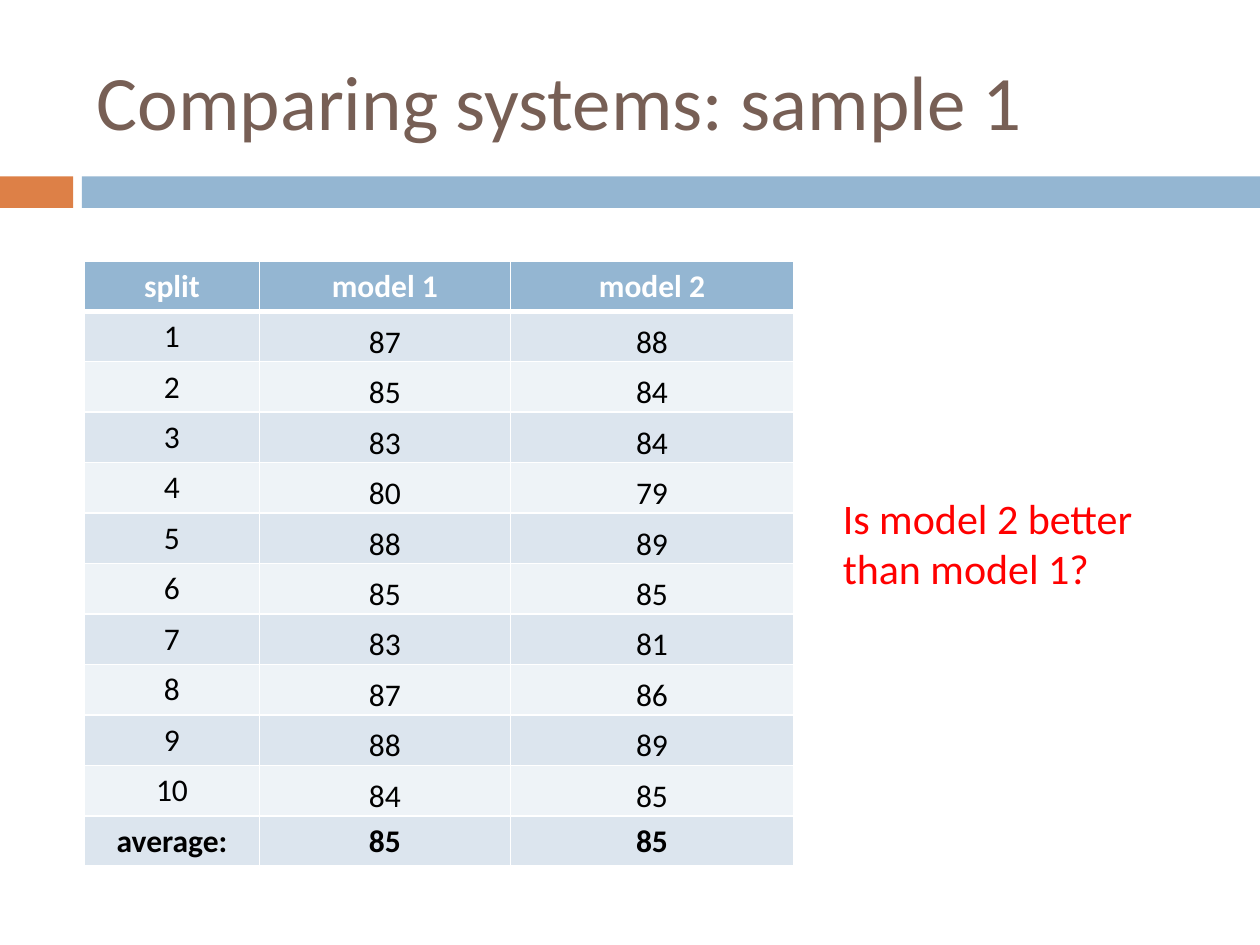
import lxml.etree
import pptx
import pptx.dml.color
import pptx.enum.shapes
import pptx.enum.text
import pptx.oxml.ns
import pptx.util

Inches = pptx.util.Inches
Pt = pptx.util.Pt
ALIGN = pptx.enum.text.PP_ALIGN
ANCHOR = pptx.enum.text.MSO_ANCHOR

BLUE, ORANGE, BROWN = "94B6D2", "DD8047", "775F55"
WHITE, BLACK, RED = "FFFFFF", "000000", "FF0000"
BANDS = ("DCE5EE", "EEF3F7")
COLUMN_WIDTHS = (1.39, 1.99, 2.25)
ROW_HEIGHT = 0.39
MODEL_1 = (87, 85, 83, 80, 88, 85, 83, 87, 88, 84)
MODEL_2 = (88, 84, 84, 79, 89, 85, 81, 86, 89, 85)


def rgb(value):
    """Return the colour for a hex string."""
    return pptx.dml.color.RGBColor.from_string(value)


def set_fill(target, color):
    """Give a shape or cell a solid fill."""
    target.fill.solid()
    target.fill.fore_color.rgb = rgb(color)


def write(tf, text, size=18, color=BLACK, bold=False, align=ALIGN.LEFT):
    """Write one formatted paragraph into a text frame."""
    p = tf.paragraphs[0]
    p.alignment = align
    r = p.add_run()
    r.text = text
    r.font.name = "Calibri"
    r.font.size = Pt(size)
    r.font.bold = bold
    r.font.color.rgb = rgb(color)


def add_bar(slide, left, width, color):
    """Add one part of the band below the title."""
    sp = slide.shapes.add_shape(
        pptx.enum.shapes.MSO_SHAPE.RECTANGLE,
        Inches(left), Inches(1.4), Inches(width), Inches(0.25))
    sp.shadow.inherit = False
    set_fill(sp, color)
    sp.line.fill.background()


def add_text(slide, box, text, anchor=ANCHOR.TOP, **fmt):
    """Add a wrapping text box."""
    tf = slide.shapes.add_textbox(*map(Inches, box)).text_frame
    tf.word_wrap = True
    tf.vertical_anchor = anchor
    write(tf, text, **fmt)


def set_borders(cell, top, bottom):
    """Draw white borders around a cell, with widths in points."""
    qn = pptx.oxml.ns.qn
    tc_pr = cell._tc.get_or_add_tcPr()
    sides = {"lnL": 1, "lnR": 1, "lnT": top, "lnB": bottom}
    for i, (tag, width) in enumerate(sides.items()):
        ln = lxml.etree.Element(qn("a:" + tag), w=str(Pt(width)))
        fill = lxml.etree.SubElement(ln, qn("a:solidFill"))
        lxml.etree.SubElement(fill, qn("a:srgbClr"), val=WHITE)
        tc_pr.insert(i, ln)


def add_scores(slide, left, top):
    """Add the table of scores by split."""
    splits = zip(range(1, len(MODEL_1) + 1), MODEL_1, MODEL_2)
    rows = [("split", "model 1", "model 2"), *splits, ("average:", 85, 85)]
    last = len(rows) - 1
    table = slide.shapes.add_table(
        len(rows), len(COLUMN_WIDTHS), Inches(left), Inches(top),
        Inches(sum(COLUMN_WIDTHS)), Inches(ROW_HEIGHT * len(rows))).table
    for column, width in zip(table.columns, COLUMN_WIDTHS):
        column.width = Inches(width)
    for i, row in enumerate(rows):
        table.rows[i].height = Inches(ROW_HEIGHT)
        for j, value in enumerate(row):
            cell = table.cell(i, j)
            set_fill(cell, BLUE if i == 0 else BANDS[(i - 1) % 2])
            set_borders(cell, 3 if i == 1 else 1, 3 if i == 0 else 1)
            if j > 0 and 0 < i < last:
                cell.vertical_anchor = ANCHOR.BOTTOM
                cell.margin_left = cell.margin_right = Inches(0.01)
                cell.margin_top, cell.margin_bottom = Inches(0.01), 0
            write(cell.text_frame, str(value), color=BLACK if i else WHITE,
                  bold=i in (0, last), align=ALIGN.CENTER)


def main():
    """Build and save the slide."""
    prs = pptx.Presentation()
    prs.slide_width, prs.slide_height = Inches(10), Inches(7.5)
    slide = prs.slides.add_slide(prs.slide_layouts[6])
    add_bar(slide, 0, 0.58, ORANGE)
    add_bar(slide, 0.65, 9.35, BLUE)
    add_text(slide, (0.67, 0.25, 8.92, 1.08), "Comparing systems: sample 1",
             anchor=ANCHOR.MIDDLE, size=44, color=BROWN)
    add_scores(slide, 0.67, 2.07)
    add_text(slide, (6.59, 3.86, 2.99, 0.91),
             "Is model 2 better than model 1?", size=24, color=RED)
    prs.save("out.pptx")


if __name__ == "__main__":
    main()
